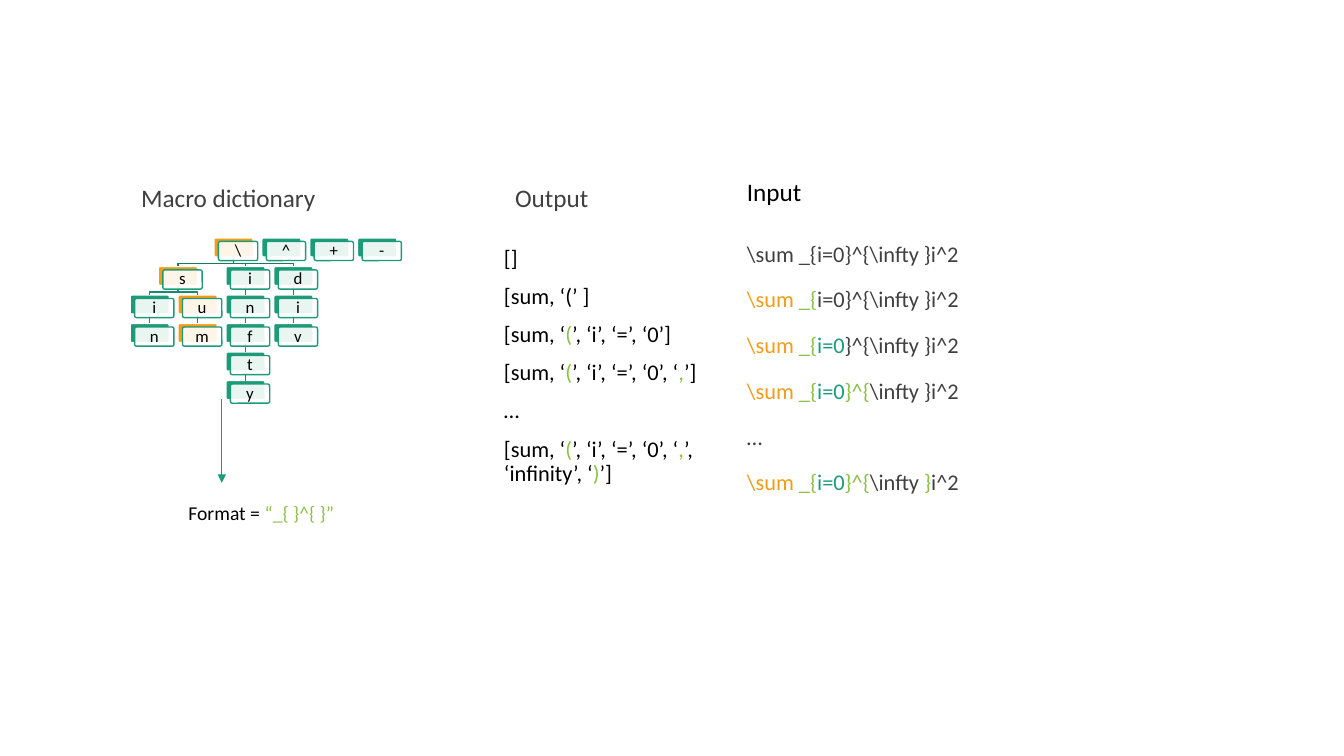
"""Build a slide that shows a macro dictionary tree beside parser output and input."""
from dataclasses import dataclass

from lxml.etree import SubElement
from pptx import Presentation
from pptx.dml.color import RGBColor
from pptx.enum.shapes import MSO_CONNECTOR as Wire, MSO_SHAPE as Kind
from pptx.enum.text import MSO_ANCHOR as Anchor, PP_ALIGN as Align
from pptx.oxml.ns import qn
from pptx.util import Inches, Pt


@dataclass(frozen=True)
class Theme:
    font: str = "Calibri"
    black: str = "000000"
    grey: str = "404040"
    white: str = "FFFFFF"
    gold: str = "F19D19"
    lime: str = "8BC145"
    teal: str = "1D9A78"
    deep: str = "177B60"
    mid: str = "1A8C6D"
    head: int = 18
    body: int = 16
    note: int = 14
    node: int = 12


T = Theme()
WIDE, HIGH = 13.33, 7.5

# name: (label, column, row, parent, matched)
NODES = {
    "root": ("\\", 1.75, 0, None, True),
    "s": ("s", 0.59, 1, "root", True),
    "si": ("i", 0, 2, "s", False),
    "sin": ("n", 0, 3, "si", False),
    "su": ("u", 1, 2, "s", True),
    "sum": ("m", 1, 3, "su", True),
    "i": ("i", 2, 1, "root", False),
    "in": ("n", 2, 2, "i", False),
    "inf": ("f", 2, 3, "in", False),
    "inft": ("t", 2, 4, "inf", False),
    "infty": ("y", 2, 5, "inft", False),
    "d": ("d", 3, 1, "root", False),
    "di": ("i", 3, 2, "d", False),
    "div": ("v", 3, 3, "di", False),
    "hat": ("^", 2.75, 0, None, False),
    "plus": ("+", 3.75, 0, None, False),
    "dash": ("-", 4.75, 0, None, False),
}
SUM, SUB = ("\\sum ", T.gold), ("_{", T.lime)
LOW, SUP = ("i=0", T.teal), ("}^{", T.lime)
INPUT = [
    [("\\sum _{i=0}^{\\infty }i^2", T.grey)],
    [SUM, SUB, ("i=0}^{\\infty }i^2", T.grey)],
    [SUM, SUB, LOW, ("}^{\\infty }i^2", T.grey)],
    [SUM, SUB, LOW, SUP, ("\\infty }i^2", T.grey)],
    [("…", T.grey)],
    [SUM, SUB, LOW, SUP, ("\\infty ", T.grey), ("}", T.lime), ("i^2", T.grey)],
]
START, OPEN = ("[sum, ‘", T.black), ("(", T.lime)
BODY, COMMA = ("’, ‘i’, ‘=’, ‘0’, ‘", T.black), (",", T.lime)
END = ("’]", T.black)
OUTPUT = [
    [("[]", T.black)],
    [("[sum, ‘(’ ]", T.black)],
    [START, OPEN, ("’, ‘i’, ‘=’, ‘0’]", T.black)],
    [START, OPEN, BODY, COMMA, END],
    [("…", T.black)],
    [START, OPEN, BODY, COMMA, ("’, ‘infinity’, ‘", T.black), (")", T.lime), END],
]
FORMAT = [[("Format = ", T.black), ("“_{ }^{ }”", T.lime)]]
LOOSE = {"line_spacing": 0.9, "space_before": Pt(13.2), "space_after": Pt(2.2)}
TIGHT = {"line_spacing": 0.9, "space_before": Pt(10)}
TOP, TALL = 1.79, 0.31
# box, lines, size, paragraph format, indent, frame format
TEXTS = [
    ((1.29, TOP, 2.64, TALL), [[("Macro dictionary", T.grey)]], T.head, LOOSE, 0.11, {"margin_left": 0}),
    ((4.9, TOP, 1.44, TALL), [[("Output", T.grey)]], T.head, LOOSE, 0.11, {}),
    ((7.31, TOP, 3.32, TALL), [[("Input", T.black)]], T.head, TIGHT, 0, {"vertical_anchor": Anchor.BOTTOM}),
    ((7.31, 2.36, 2.41, 2.58), INPUT, T.body, LOOSE, 0, {}),
    ((4.9, 2.4, 2.41, 2.58), OUTPUT, T.body, TIGHT, 0, {}),
    ((1.77, 4.92, 1.99, 0.34), FORMAT, T.note, {}, 0, {}),
]
LEFT, UP, COL, ROW = 1.29, 2.36, 0.475, 0.283
BOX_W, BOX_H, SHIFT_X, SHIFT_Y = 0.39, 0.19, 0.045, 0.035


def rgb(code):
    return RGBColor.from_string(code)


def put(obj, fmt):
    for key, val in fmt.items():
        setattr(obj, key, val)


def write(frame, lines, size, fmt, indent=0):
    for n, line in enumerate(lines):
        para = frame.paragraphs[0] if n == 0 else frame.add_paragraph()
        put(para, fmt)
        if indent:
            para._p.get_or_add_pPr().set("marL", str(Inches(indent)))
        for text, code in line:
            run = para.add_run()
            run.text = text
            put(run.font, {"name": T.font, "size": Pt(size)})
            run.font.color.rgb = rgb(code)


def ink(line, code, width=1):
    line.color.rgb = rgb(code)
    line.width = Pt(width)


def spot(name):
    col, row = NODES[name][1:3]
    return LEFT + col * COL, UP + row * ROW


def card(shapes, x, y, fill, edge):
    box = shapes.add_shape(Kind.ROUNDED_RECTANGLE, *map(Inches, (x, y, BOX_W, BOX_H)))
    box.adjustments[0] = 0.1
    box.shadow.inherit = False
    box.fill.solid()
    box.fill.fore_color.rgb = rgb(fill)
    ink(box.line, edge)
    return box


def wire(shapes, x, y, x2, y2, code, width=1):
    link = shapes.add_connector(Wire.STRAIGHT, *map(Inches, (x, y, x2, y2)))
    ink(link.line, code, width)
    SubElement(link._element.spPr, qn("a:effectLst"))
    return link


def join(shapes, backs, name, up):
    (px, py), (x, y) = spot(up), spot(name)
    px, x, py = px + BOX_W / 2, x + BOX_W / 2, py + BOX_H
    code = T.deep if up == "root" else T.mid
    if abs(px - x) < 0.01:
        link = wire(shapes, px, py, x, y, code)
        link.begin_connect(backs[up], 2)
        link.end_connect(backs[name], 0)
        return
    bend = py + (y - py) * 0.68
    pen = shapes.build_freeform(Inches(px), Inches(py))
    pen.add_line_segments([tuple(map(Inches, p)) for p in ((px, bend), (x, bend), (x, y))], close=False)
    path = pen.convert_to_shape()
    path.shadow.inherit = False
    path.fill.background()
    ink(path.line, code)


def tree(shapes):
    backs = {}
    for name, node in NODES.items():
        backs[name] = card(shapes, *spot(name), T.gold if node[4] else T.teal, T.white)
    for name, node in NODES.items():
        if node[3]:
            join(shapes, backs, name, node[3])
    for name, node in NODES.items():
        x, y = spot(name)
        box = card(shapes, x + SHIFT_X, y + SHIFT_Y, T.white, T.teal)
        tint = box._element.spPr.find(qn("a:solidFill"))[0]
        SubElement(tint, qn("a:alpha"), val="90000")
        pad = dict.fromkeys(("margin_left", "margin_right", "margin_top", "margin_bottom"), Inches(0.05))
        put(box.text_frame, {**pad, "vertical_anchor": Anchor.MIDDLE})
        write(box.text_frame, [[(node[0], T.black)]], T.node, {"alignment": Align.CENTER, "line_spacing": 0.9})


def main():
    deck = Presentation()
    put(deck, {"slide_width": Inches(WIDE), "slide_height": Inches(HIGH)})
    shapes = deck.slides.add_slide(deck.slide_layouts[6]).shapes
    tree(shapes)
    for area, lines, size, fmt, indent, frame in TEXTS:
        box = shapes.add_textbox(*map(Inches, area)).text_frame
        put(box, {"word_wrap": True, **frame})
        write(box, lines, size, fmt, indent)
    arrow = wire(shapes, 2.2, 3.96, 2.2, 4.79, T.teal, 0.5)
    SubElement(arrow.line._get_or_add_ln(), qn("a:tailEnd"), type="triangle")
    deck.save("out.pptx")


if __name__ == "__main__":
    main()
